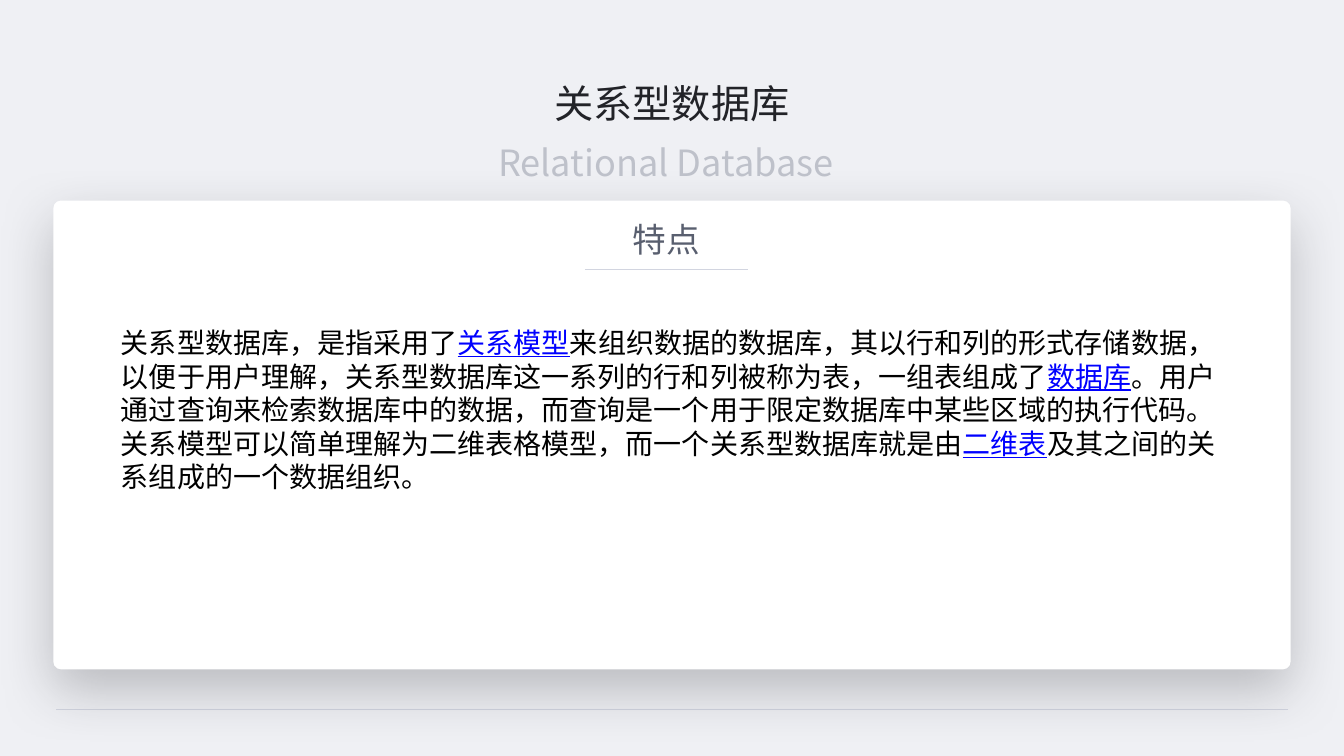
from dataclasses import dataclass

from lxml import etree
from pptx import Presentation
from pptx import util as u
from pptx.dml.color import RGBColor
from pptx.enum import shapes, text
from pptx.oxml import ns


@dataclass(frozen=True)
class Theme:
    background: str = "EFF0F4"
    panel: str = "FFFFFF"
    dark: str = "222328"
    heading: str = "595F6F"
    subtitle: str = "BEC1CA"
    rule: str = "D2D5E0"
    body: str = "000000"
    term: str = "0000FF"
    cjk: str = "Noto Sans CJK SC"
    latin: str = "Arial"
    title_size: float = 28
    subtitle_size: float = 25.8
    heading_size: float = 24
    body_size: float = 20


class SlideBuilder:
    def __init__(self, slide, theme):
        self.slide = slide
        self.theme = theme
        fill = slide.background.fill
        fill.solid()
        fill.fore_color.rgb = RGBColor.from_string(theme.background)

    def rule(self, left, right, y):
        line = self.slide.shapes.add_connector(
            shapes.MSO_CONNECTOR.STRAIGHT,
            u.Inches(left), u.Inches(y), u.Inches(right), u.Inches(y))
        line.line.color.rgb = RGBColor.from_string(self.theme.rule)
        line.line.width = u.Pt(0.5)
        etree.SubElement(line._element.spPr, ns.qn("a:effectLst"))

    def panel(self, *box):
        sp = self.slide.shapes.add_shape(
            shapes.MSO_SHAPE.ROUNDED_RECTANGLE, *map(u.Inches, box))
        sp.adjustments[0] = 0.016
        sp.fill.solid()
        sp.fill.fore_color.rgb = RGBColor.from_string(self.theme.panel)
        sp.line.fill.background()
        sp.shadow.inherit = False
        effects = sp._element.spPr.find(ns.qn("a:effectLst"))
        shadow = etree.SubElement(
            effects, ns.qn("a:outerShdw"), blurRad=str(u.Pt(40)),
            dist=str(u.Pt(15)), dir="5400000", algn="t", rotWithShape="0")
        color = etree.SubElement(
            shadow, ns.qn("a:srgbClr"), val=self.theme.dark)
        etree.SubElement(color, ns.qn("a:alpha"), val="25000")

    def text(self, box, runs, size, font, color=None, align=None,
             spacing=None, before=6, inset=0.05):
        tf = self.slide.shapes.add_textbox(*map(u.Inches, box)).text_frame
        tf.word_wrap = True
        tf.margin_left = tf.margin_right = u.Inches(inset)
        tf.margin_top = tf.margin_bottom = u.Inches(inset)
        p = tf.paragraphs[0]
        p.alignment = align
        p.line_spacing = spacing
        p.space_before = u.Pt(before)
        p.font.size = u.Pt(size)
        p.font.name = font
        if color:
            p.font.color.rgb = RGBColor.from_string(color)
        defaults = p._p.pPr.find(ns.qn("a:defRPr"))
        etree.SubElement(defaults, ns.qn("a:ea"), typeface=font)
        for content, is_term in runs:
            r = p.add_run()
            r.text = content
            if not color:
                r.font.color.rgb = RGBColor.from_string(
                    self.theme.term if is_term else self.theme.body)
                r.font.underline = is_term

    def centered(self, box, content, size, color, **style):
        self.text(box, [(content, False)], size, self.theme.cjk, color,
                  text.PP_ALIGN.CENTER, **style)


def main():
    prs = Presentation()
    prs.slide_width = u.Inches(13.33)
    prs.slide_height = u.Inches(7.5)
    theme = Theme()
    s = SlideBuilder(prs.slides.add_slide(prs.slide_layouts[6]), theme)

    s.rule(0.56, 12.77, 7.04)
    title_style = dict(spacing=0.9, before=4)
    s.centered((0, 0.79, 13.33, 0.57), "关系型数据库",
               theme.title_size, theme.dark, **title_style)
    s.panel(0.53, 1.99, 12.27, 4.65)
    s.centered((4.7, 2.28, 3.82, 0.4), "特点", theme.heading_size,
               theme.heading, spacing=u.Pt(17), inset=0.06)
    s.text((1.15, 3.18, 11.04, 2.04), [
        ("关系型数据库，是指采用了", False),
        ("关系模型", True),
        ("来组织数据的数据库，其以行和列的形式存储数据，以便于用户理解，"
         "关系型数据库这一系列的行和列被称为表，一组表组成了", False),
        ("数据库", True),
        ("。用户通过查询来检索数据库中的数据，而查询是一个用于限定数据库中"
         "某些区域的执行代码。关系模型可以简单理解为二维表格模型，"
         "而一个关系型数据库就是由", False),
        ("二维表", True),
        ("及其之间的关系组成的一个数据组织。", False),
    ], theme.body_size, theme.latin)
    s.rule(5.8, 7.42, 2.67)
    s.centered((-0.06, 1.39, 13.33, 0.57), "Relational Database",
               theme.subtitle_size, theme.subtitle, **title_style)
    prs.save("out.pptx")


if __name__ == "__main__":
    main()
